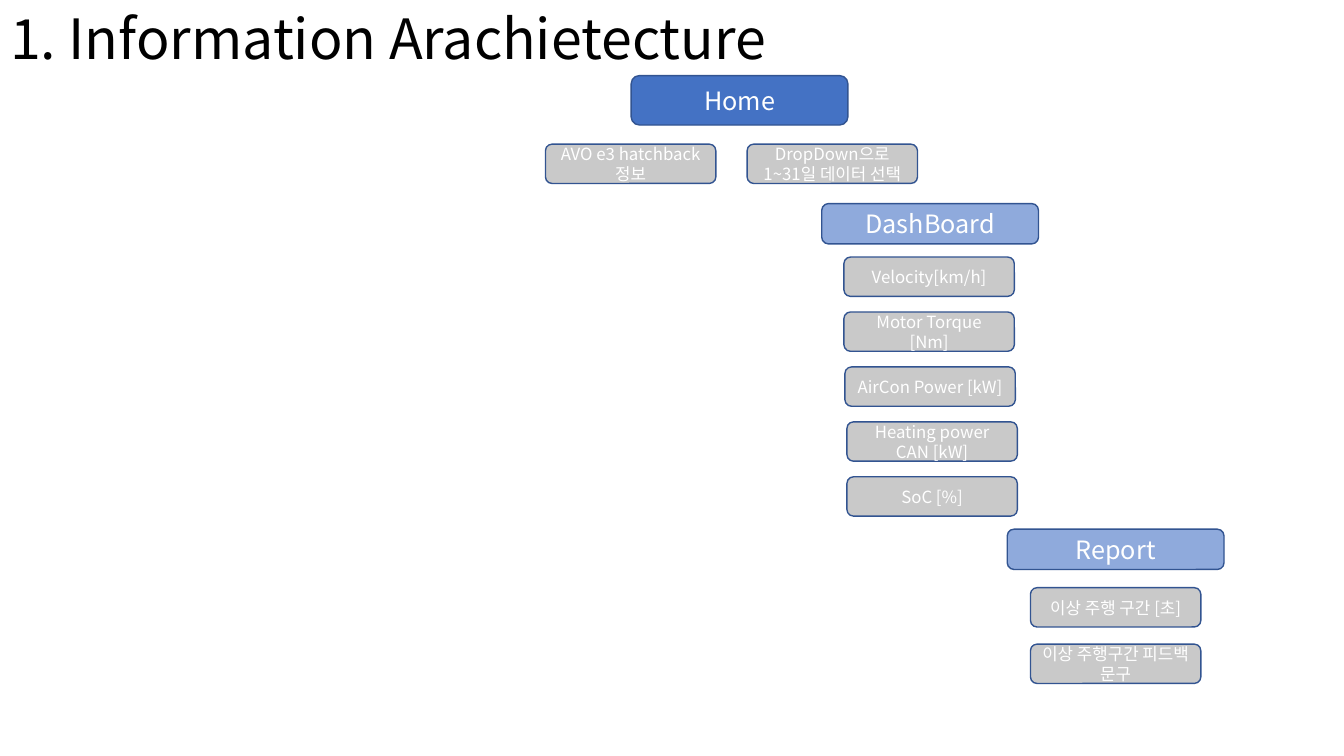
from lxml import etree
from pptx import Presentation
from pptx.dml.color import RGBColor
from pptx.enum.shapes import MSO_SHAPE
from pptx.enum.text import MSO_ANCHOR, MSO_AUTO_SIZE, PP_ALIGN
from pptx.oxml.ns import qn
from pptx.util import Inches, Pt

ROUNDED = MSO_SHAPE.ROUNDED_RECTANGLE
MIDDLE = MSO_ANCHOR.MIDDLE
NO_FIT = MSO_AUTO_SIZE.NONE
LEFT, CENTER = PP_ALIGN.LEFT, PP_ALIGN.CENTER

SLIDE_WIDTH, SLIDE_HEIGHT = 13.33, 7.5
FONT = "Noto Sans CJK KR"
HOME_FILL, SECTION_FILL, ITEM_FILL = "4472C4", "8FAADC", "C9C9C9"
BORDER = "325491"
SECTION_WIDTH, HOME_HEIGHT, SECTION_HEIGHT = 2.15, 0.49, 0.4
ITEM_WIDTH, ITEM_HEIGHT = 1.69, 0.39
HOME_ITEMS_LEFT, HOME_ITEMS_TOP, HOME_ITEM_STEP = 5.41, 1.43, 2.0
DASHBOARD_TOP, DASHBOARD_STEP = 2.55, 2.18 / 4
REPORT_LEFT, REPORT_TOP, REPORT_STEP = 10.22, 5.83, 0.56

HOME_ITEMS = ["AVO e3 hatchback 정보", "DropDown으로 1~31일 데이터 선택"]
DASHBOARD_ITEMS = [
    ("Velocity[km/h]", 8.37),
    ("Motor Torque [Nm]", 8.37),
    ("AirCon Power [kW]", 8.38),
    ("Heating power CAN [kW]", 8.4),
    ("SoC [%]", 8.4),
]
REPORT_ITEMS = ["이상 주행 구간 [초]", "이상 주행구간 피드백 문구"]


def color(value):
    return RGBColor.from_string(value)


def write(frame, text, size, ink="FFFFFF", align=CENTER, spacing=None):
    frame.auto_size = NO_FIT
    frame.word_wrap = True
    frame.vertical_anchor = MIDDLE
    paragraph = frame.paragraphs[0]
    paragraph.alignment = align
    paragraph.line_spacing = spacing
    run = paragraph.add_run()
    run.text = text
    run.font.size = Pt(size)
    run.font.name = FONT
    run.font.color.rgb = color(ink)
    east_asian = etree.SubElement(run.font._element, qn("a:ea"))
    east_asian.set("typeface", FONT)


def add_box(slide, text, left, top, width, height, fill, size):
    box = slide.shapes.add_shape(
        ROUNDED, Inches(left), Inches(top), Inches(width), Inches(height))
    box.shadow.inherit = False
    box.fill.solid()
    box.fill.fore_color.rgb = color(fill)
    box.line.color.rgb = color(BORDER)
    box.line.width = Pt(1)
    write(box.text_frame, text, size)


def add_section(slide, text, left, top, height=SECTION_HEIGHT, fill=SECTION_FILL):
    add_box(slide, text, left, top, SECTION_WIDTH, height, fill, 18)


def add_item(slide, text, left, top):
    add_box(slide, text, left, top, ITEM_WIDTH, ITEM_HEIGHT, ITEM_FILL, 12)


def add_title(slide, text):
    title = slide.shapes.title
    title.left, title.top = Inches(0), Inches(0.03)
    title.width, title.height = Inches(8.8), Inches(0.76)
    write(title.text_frame, text, 39.6, ink="000000", align=LEFT, spacing=0.9)


def main():
    deck = Presentation()
    deck.slide_width = Inches(SLIDE_WIDTH)
    deck.slide_height = Inches(SLIDE_HEIGHT)
    slide = deck.slides.add_slide(deck.slide_layouts.get_by_name("Title Only"))
    add_title(slide, "1. Information Arachietecture")

    add_section(slide, "Home", 6.26, 0.75, HOME_HEIGHT, HOME_FILL)
    for column, label in enumerate(HOME_ITEMS):
        add_item(slide, label, HOME_ITEMS_LEFT + column * HOME_ITEM_STEP, HOME_ITEMS_TOP)

    add_section(slide, "DashBoard", 8.15, 2.02)
    for row, (label, left) in enumerate(DASHBOARD_ITEMS):
        add_item(slide, label, left, DASHBOARD_TOP + row * DASHBOARD_STEP)

    add_section(slide, "Report", 9.99, 5.25)
    for row, label in enumerate(REPORT_ITEMS):
        add_item(slide, label, REPORT_LEFT, REPORT_TOP + row * REPORT_STEP)

    deck.save("out.pptx")


main()
